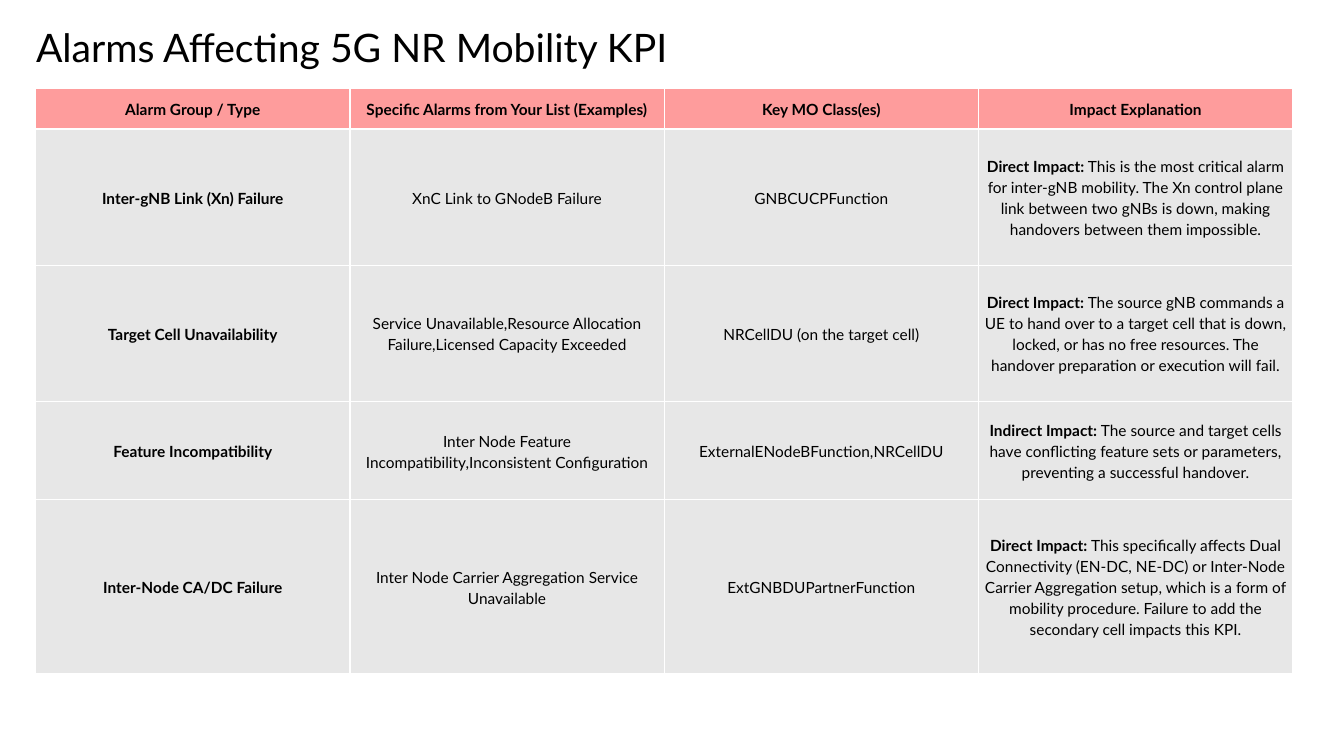
from dataclasses import dataclass

from lxml import etree
from pptx import Presentation
from pptx.dml.color import RGBColor
from pptx.enum.text import MSO_ANCHOR, PP_ALIGN
from pptx.oxml.ns import qn
from pptx.slide import Slide
from pptx.table import _Cell
from pptx.text.text import _Paragraph
from pptx.util import Cm, Pt

MIDDLE = MSO_ANCHOR.MIDDLE
CENTER = PP_ALIGN.CENTER

FONT = "Lato"
BLACK, WHITE = "000000", "FFFFFF"
HEADER_FILL, BODY_FILL = "FE9C9C", "E7E7E7"
COLUMN_WIDTH = 7.92
HEADER_HEIGHT = 1.03


@dataclass(frozen=True)
class Alarm:
    group: str
    examples: str
    mo_classes: str
    impact_kind: str
    explanation: str
    height: float


HEADINGS = (
    "Alarm Group / Type",
    "Specific Alarms from Your List (Examples)",
    "Key MO Class(es)",
    "Impact Explanation",
)

ALARMS = (
    Alarm(
        "Inter-gNB Link (Xn) Failure",
        "XnC Link to GNodeB Failure",
        "GNBCUCPFunction",
        "Direct Impact:",
        "This is the most critical alarm for inter-gNB mobility. The Xn control plane "
        "link between two gNBs is down, making handovers between them impossible.",
        3.43,
    ),
    Alarm(
        "Target Cell Unavailability",
        "Service Unavailable,Resource Allocation Failure,Licensed Capacity Exceeded",
        "NRCellDU (on the target cell)",
        "Direct Impact:",
        "The source gNB commands a UE to hand over to a target cell that is down, locked, "
        "or has no free resources. The handover preparation or execution will fail.",
        3.43,
    ),
    Alarm(
        "Feature Incompatibility",
        "Inter Node Feature Incompatibility,Inconsistent Configuration",
        "ExternalENodeBFunction,NRCellDU",
        "Indirect Impact:",
        "The source and target cells have conflicting feature sets or parameters, "
        "preventing a successful handover.",
        2.48,
    ),
    Alarm(
        "Inter-Node CA/DC Failure",
        "Inter Node Carrier Aggregation Service Unavailable",
        "ExtGNBDUPartnerFunction",
        "Direct Impact:",
        "This specifically affects Dual Connectivity (EN-DC, NE-DC) or Inter-Node Carrier "
        "Aggregation setup, which is a form of mobility procedure. Failure to add the "
        "secondary cell impacts this KPI.",
        4.39,
    ),
)


def rgb(color: str) -> RGBColor:
    return RGBColor.from_string(color)


def add_text(paragraph: _Paragraph, text: str, *, size: float = 11,
             bold: bool = False, color: str = BLACK) -> None:
    run = paragraph.add_run()
    run.text = text
    run.font.name = FONT
    run.font.size = Pt(size)
    run.font.bold = bold
    run.font.color.rgb = rgb(color)


def add_borders(cell: _Cell, color: str, width: float) -> None:
    properties = cell._tc.get_or_add_tcPr()
    for side in ("a:lnL", "a:lnR", "a:lnT", "a:lnB"):
        line = etree.SubElement(properties, qn(side), w=str(Pt(width)))
        fill = etree.SubElement(line, qn("a:solidFill"))
        etree.SubElement(fill, qn("a:srgbClr"), val=color)


def fill_cell(cell: _Cell, fill: str, bold_text: str = "", plain_text: str = "") -> None:
    """Style a cell and write its bold text, then its plain text."""
    add_borders(cell, WHITE, 1)
    cell.fill.solid()
    cell.fill.fore_color.rgb = rgb(fill)
    cell.vertical_anchor = MIDDLE
    cell.margin_left = cell.margin_right = Cm(0.13)
    cell.margin_top = cell.margin_bottom = Cm(0.05)
    paragraph = cell.text_frame.paragraphs[0]
    paragraph.alignment = CENTER
    paragraph.line_spacing = Pt(15)
    if bold_text:
        add_text(paragraph, bold_text, bold=True)
    if plain_text:
        add_text(paragraph, plain_text)


def add_title(slide: Slide, title: str) -> None:
    frame = slide.shapes.add_textbox(Cm(0.66), Cm(0.28), Cm(32.97), Cm(1.55)).text_frame
    frame.word_wrap = True
    frame.vertical_anchor = MIDDLE
    frame.margin_top = frame.margin_bottom = 0
    paragraph = frame.paragraphs[0]
    paragraph.line_spacing = 1.2
    add_text(paragraph, title, size=28)


def add_alarm_table(slide: Slide) -> None:
    heights = [HEADER_HEIGHT, *(alarm.height for alarm in ALARMS)]
    table = slide.shapes.add_table(
        len(heights), len(HEADINGS), Cm(0.9), Cm(2.22),
        Cm(COLUMN_WIDTH * len(HEADINGS)), Cm(sum(heights)),
    ).table
    for column in table.columns:
        column.width = Cm(COLUMN_WIDTH)
    for row, height in zip(table.rows, heights):
        row.height = Cm(height)

    for column_index, heading in enumerate(HEADINGS):
        fill_cell(table.cell(0, column_index), HEADER_FILL, heading)
    for row_index, alarm in enumerate(ALARMS, start=1):
        contents = (
            (alarm.group, ""),
            ("", alarm.examples),
            ("", alarm.mo_classes),
            (alarm.impact_kind, f" {alarm.explanation}"),
        )
        for column_index, (bold_text, plain_text) in enumerate(contents):
            fill_cell(table.cell(row_index, column_index), BODY_FILL, bold_text, plain_text)


def main() -> None:
    presentation = Presentation()
    presentation.slide_width = Cm(33.87)
    presentation.slide_height = Cm(19.05)
    slide = presentation.slides.add_slide(presentation.slide_layouts[6])
    add_title(slide, "Alarms Affecting 5G NR Mobility KPI")
    add_alarm_table(slide)
    presentation.save("out.pptx")


if __name__ == "__main__":
    main()
